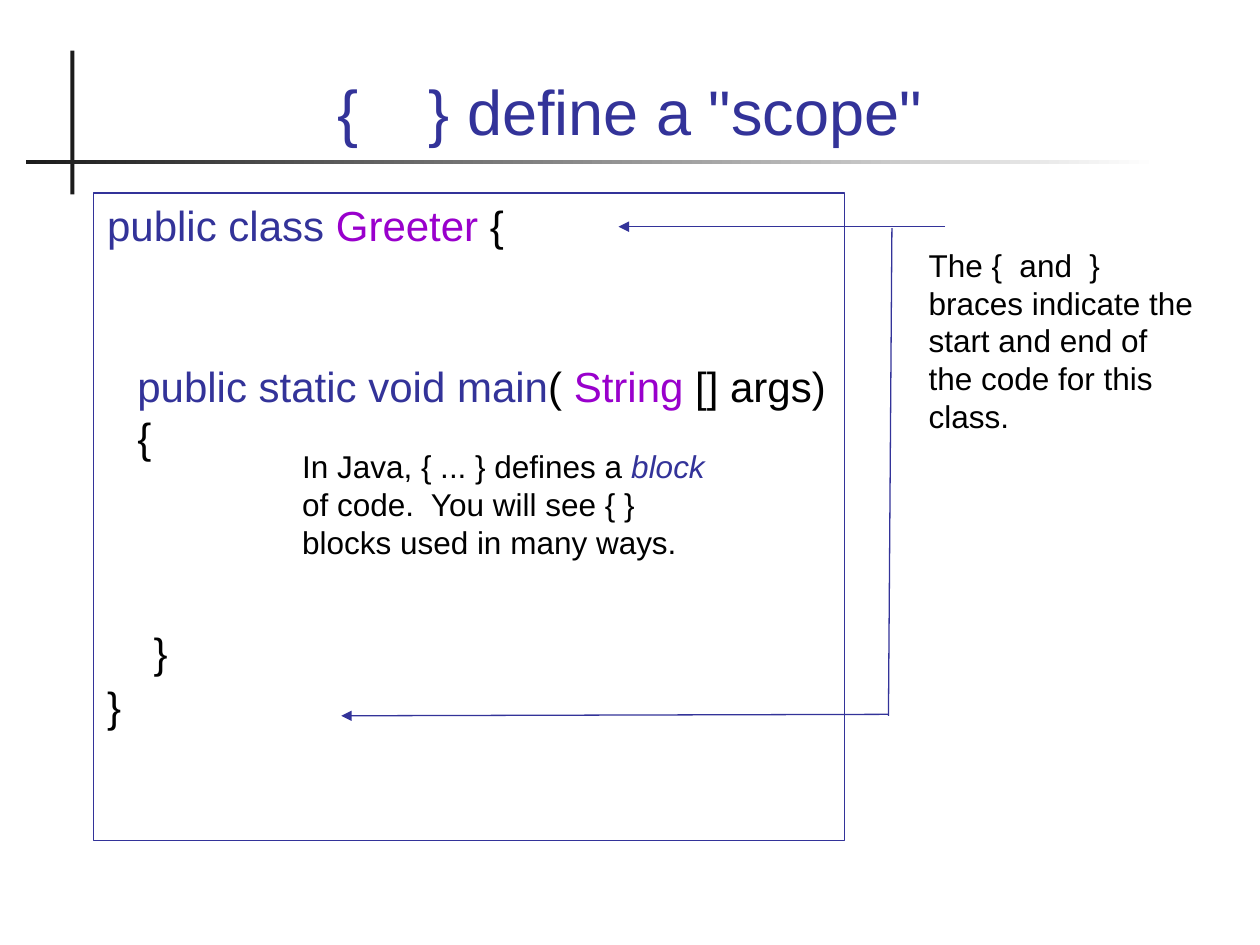
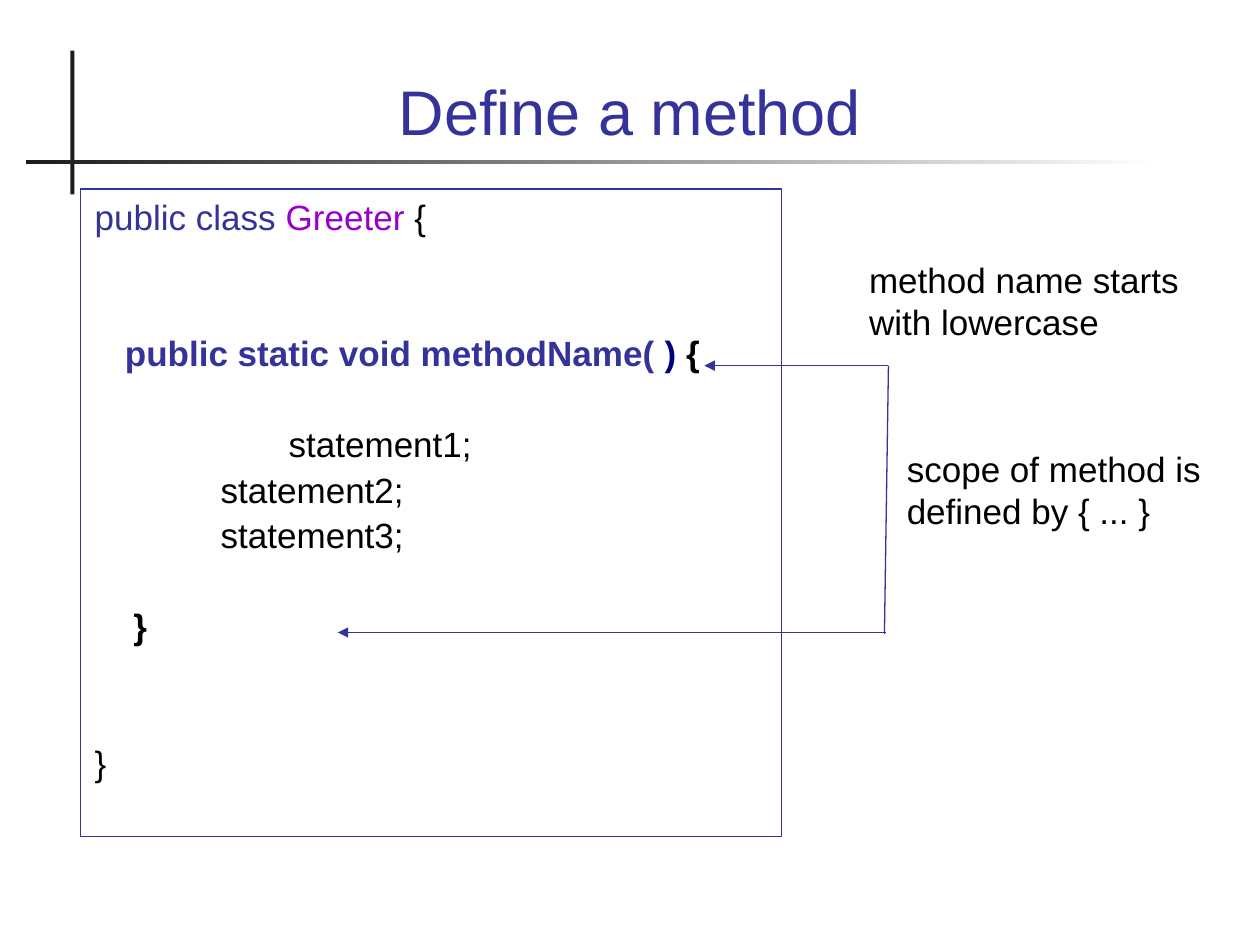
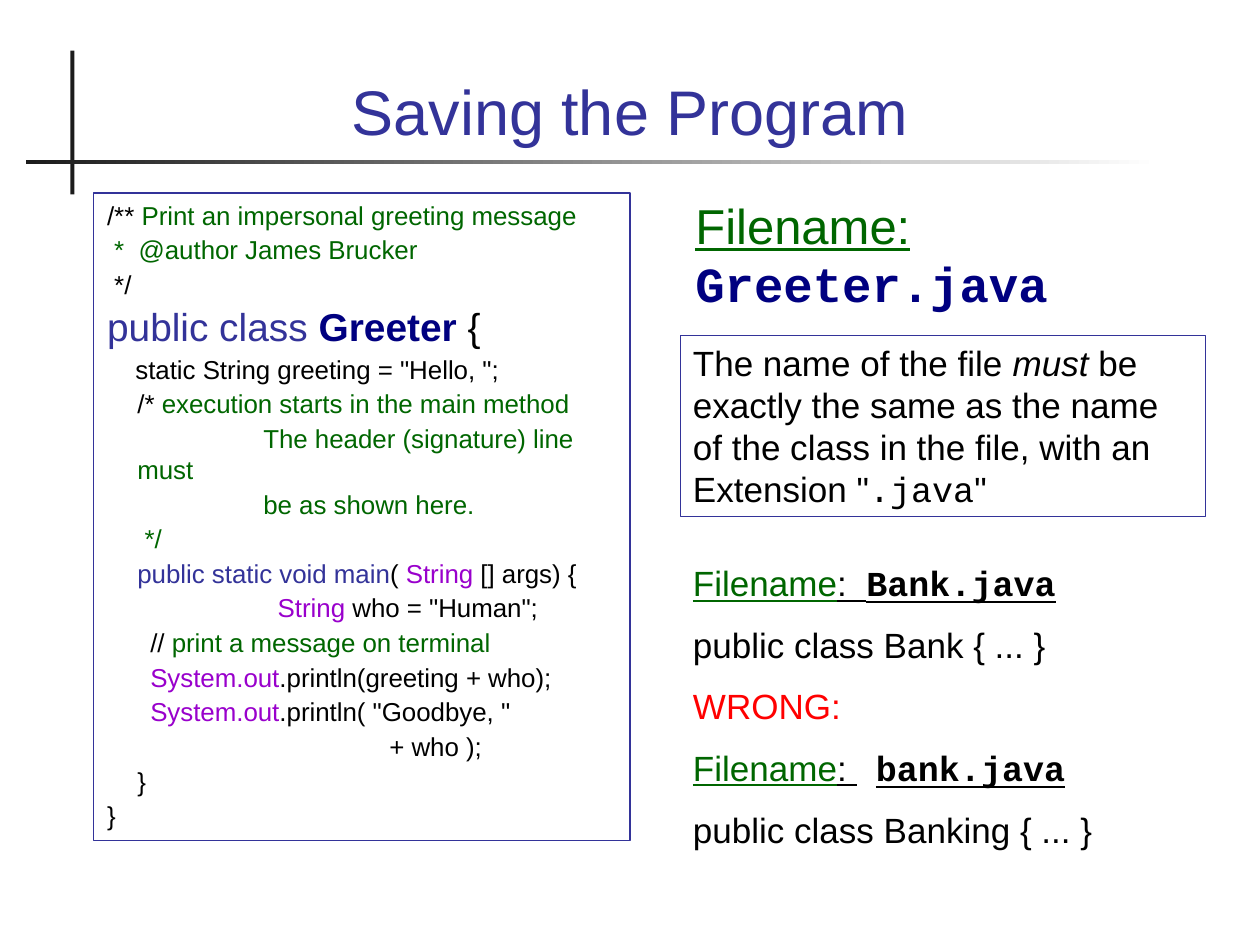
from lxml.etree import SubElement
from pptx import Presentation
from pptx.dml.color import RGBColor
from pptx.enum.shapes import MSO_CONNECTOR as Connector, MSO_SHAPE as Preset
from pptx.enum.text import MSO_ANCHOR as Anchor, MSO_AUTO_SIZE as AutoSize, PP_ALIGN as Align
from pptx.oxml.ns import qn
from pptx.util import Cm, Pt

INK, BAR, BLUE, NAVY = "000000", "1C1C1C", "333399", "000080"
PURPLE, GREEN, RED, WHITE = "9900CC", "006600", "FF0000", "FFFFFF"

# Indents of code lines, in cm
MARGIN, MEMBER = 0.03, 0.64


def rgb(value):
    return RGBColor.from_string(value)


class Deck:
    """Holds the shared style and the slide being filled."""

    body_font, code_font = "Arial", "Courier New"
    leading = 1.2
    code_gap, note_gap = 2, 11.2
    rule_width = Pt(0.75)

    def __init__(self):
        self.prs = Presentation()
        self.prs.slide_width, self.prs.slide_height = Cm(25.4), Cm(19.05)
        self.slide = None

    def new_slide(self, *title_runs):
        self.slide = self.prs.slides.add_slide(self.prs.slide_layouts[6])
        # Crossed bars behind the title
        self.bar(1.42, 1.02, 0.08, 2.9).solid()
        self.slide.shapes[-1].fill.fore_color.rgb = rgb(BAR)
        fade = self.bar(0.53, 3.23, 22.83, 0.08)
        fade.gradient()
        fade.gradient_angle = 180
        for stop, color, position in zip(fade.gradient_stops, (WHITE, BAR), (0, 1)):
            stop.color.rgb, stop.position = rgb(color), position
        # Title
        frame = self.text_area(1.7, 0.71, 22, 2.41)
        frame.vertical_anchor = Anchor.BOTTOM
        heading = frame.paragraphs[0]
        heading.alignment = Align.CENTER
        self.add_runs(heading, 36, title_runs)

    def bar(self, left, top, width, height):
        bar = self.slide.shapes.add_shape(
            Preset.RECTANGLE, Cm(left), Cm(top), Cm(width), Cm(height))
        bar.shadow.inherit = False
        bar.line.fill.background()
        return bar.fill

    def text_area(self, left, top, width, height, framed=False):
        area = self.slide.shapes.add_textbox(Cm(left), Cm(top), Cm(width), Cm(height))
        if framed:
            area.line.color.rgb = rgb(BLUE)
            area.line.width = self.rule_width
        area.text_frame.word_wrap = True
        return area.text_frame

    def add_runs(self, paragraph, size, runs):
        """Each run is (text, colour, marks, spread); marks: b, i, u, m for monospace."""
        for text, color, *extras in runs:
            marks, spread = (extras + ["", 0][len(extras):])
            run = paragraph.add_run()
            run.text = text
            font = run.font
            font.name = self.code_font if "m" in marks else self.body_font
            font.size, font.color.rgb = Pt(size), rgb(color)
            font.bold, font.italic, font.underline = (mark in marks for mark in "biu")
            if spread:
                run._r.get_or_add_rPr().set("spc", str(spread * 100))

    def add_paragraph(self, frame, number, size, gap, runs):
        paragraph = frame.add_paragraph() if number else frame.paragraphs[0]
        paragraph.space_before = Pt(gap)
        paragraph.line_spacing = Pt(size * self.leading)
        self.add_runs(paragraph, size, runs)
        return paragraph

    def code(self, place, size, lines):
        """Each line is (indent, skipped lines, runs) with an optional own size."""
        frame = self.text_area(*place, framed=True)
        for number, (indent, skipped, runs, *own_size) in enumerate(lines):
            line_size = own_size[0] if own_size else size
            gap = self.code_gap + skipped * (size * self.leading + self.code_gap)
            line = self.add_paragraph(frame, number, line_size, gap, runs)
            properties = line._p.get_or_add_pPr()
            properties.set("marL", str(Cm(MEMBER)))
            properties.set("indent", str(Cm(indent - MEMBER)))

    def note(self, place, size, *paragraphs, framed=False):
        frame = self.text_area(*place, framed=framed)
        frame.auto_size = AutoSize.SHAPE_TO_FIT_TEXT
        for number, runs in enumerate(paragraphs):
            self.add_paragraph(frame, number, size, self.note_gap, runs)

    def line(self, start, end, arrow=False):
        line = self.slide.shapes.add_connector(
            Connector.STRAIGHT, *(Cm(value) for value in start + end))
        line.line.color.rgb, line.line.width = rgb(BLUE), self.rule_width
        if arrow:
            SubElement(line.line._get_or_add_ln(), qn("a:tailEnd"), type="triangle")
        SubElement(line._element.spPr, qn("a:effectLst"))


def class_header(name_color=PURPLE, marks=""):
    return [("public class ", BLUE), ("Greeter", name_color, marks), (" {", INK)]


def main_header():
    return [("public static void main", BLUE), ("( ", INK),
            ("String", PURPLE), (" [] args) {", INK)]


def scope_slide(deck):
    deck.new_slide(("{", BLUE), (" ", BLUE, "", 30), ('} define a "scope"', BLUE))
    deck.code((1.88, 3.89, 15.14, 13.06), 24, [
        (MARGIN, 0, class_header()),
        (MEMBER, 2, main_header()),
        (0.97, 3, [("}", INK)]),
        (MARGIN, 0, [("}", INK)]),
    ])
    # Bracket from the opening to the closing brace
    deck.line((19.05, 4.57), (12.47, 4.57), arrow=True)
    deck.line((17.91, 14.4), (6.88, 14.43), arrow=True)
    deck.line((17.91, 14.43), (17.98, 4.6))
    deck.note((18.47, 4.83, 5.92, 4.06), 18, [
        ("The {  and  }  braces indicate the start and end of the code for this class.", INK)])
    deck.note((5.84, 8.89, 8.89, 2.54), 18, [
        ("In Java, { ... } defines a ", INK), ("block", BLUE, "i"),
        (" of code.  You will see { } blocks used in many ways.", INK)])


def method_slide(deck):
    deck.new_slide(("Define a method", BLUE))
    deck.code((1.63, 3.81, 14.12, 13.06), 20, [
        (MARGIN, 0, class_header()),
        (MEMBER, 2, [("public static void methodName( ", BLUE, "b"),
                     (")", NAVY, "b"), (" {", INK, "b")]),
        (3.94, 1, [("statement1;", INK)]),
        (2.57, 0, [("statement2;", INK)]),
        (2.57, 0, [("statement3;", INK)]),
        (0.81, 1, [("}", INK, "b")]),
        (MARGIN, 2, [("}", INK)]),
    ])
    # Bracket around the method
    deck.line((17.91, 7.37), (14.2, 7.37), arrow=True)
    deck.line((17.86, 12.75), (6.81, 12.75), arrow=True)
    deck.line((17.83, 12.78), (17.91, 7.37))
    deck.note((17.27, 5.08, 7.37, 1.96), 20, [("method name starts with lowercase", INK)])
    deck.note((18.03, 8.89, 6.6, 1.96), 20, [("scope of method is defined by { ... }", INK)])


def saving_slide(deck):
    comment, statement = 3.18, 0.9
    deck.new_slide(("Saving the Program", BLUE))
    deck.code((1.88, 3.89, 10.82, 13.06), 14.8, [
        (MARGIN, 0, [("/** ", INK), ("Print an impersonal greeting message", GREEN)]),
        (MARGIN, 0, [(" *  @author James Brucker", GREEN)]),
        (MARGIN, 0, [(" */", INK)]),
        (MARGIN, 0, class_header(NAVY, "b"), 22.2),
        (0.6, 0, [('static String greeting = "Hello, ";', INK)]),
        (MEMBER, 0, [("/* ", INK), ("execution starts in the main method", GREEN)]),
        (comment, 0, [("The header (signature) line must", GREEN)]),
        (comment, 0, [("be as shown here.", GREEN)]),
        (MEMBER, 0, [(" */", GREEN)]),
        (MEMBER, 0, main_header()),
        (3.47, 0, [("String", PURPLE), (' who = "Human";', INK)]),
        (statement, 0, [("// ", INK), ("print a message on terminal", GREEN)]),
        (statement, 0, [("System.out", PURPLE), (".println(greeting + who);", INK)]),
        (statement, 0, [("System.out", PURPLE), ('.println( "Goodbye, "', INK)]),
        (5.72, 0, [("+ who );", INK)]),
        (MEMBER, 0, [("}", INK)]),
        (MARGIN, 0, [("}", INK)]),
    ])
    # Naming rule
    deck.note((13.72, 6.76, 10.59, 3.66), 20, [
        ("The name of the file ", INK), ("must", INK, "i"),
        (' be exactly the same as the name of the class in the file, with an Extension "', INK),
        (".java", INK, "m"), ('"', INK)], framed=True)
    deck.note((13.77, 3.81, 11.38, 2.64), 28, [
        ("Filename:", GREEN, "u"), (" ", INK, "u", 15), ("Greeter.java", NAVY, "bm")])
    # Right and wrong examples
    deck.note((13.72, 11.2, 9.91, 6.1), 20,
              [("Filename", GREEN, "u"), (":  ", INK, "u"), ("Bank.java", INK, "bmu")],
              [("public class Bank { ... }", INK)],
              [("WRONG:", RED)],
              [("Filename", GREEN, "u"), (":", INK, "u"), (" ", INK, "u", 11),
               ("bank.java", INK, "bmu")],
              [("public class Banking { ... }", INK)])


def main():
    deck = Deck()
    for build in (scope_slide, method_slide, saving_slide):
        build(deck)
    deck.prs.save("out.pptx")


if __name__ == "__main__":
    main()
